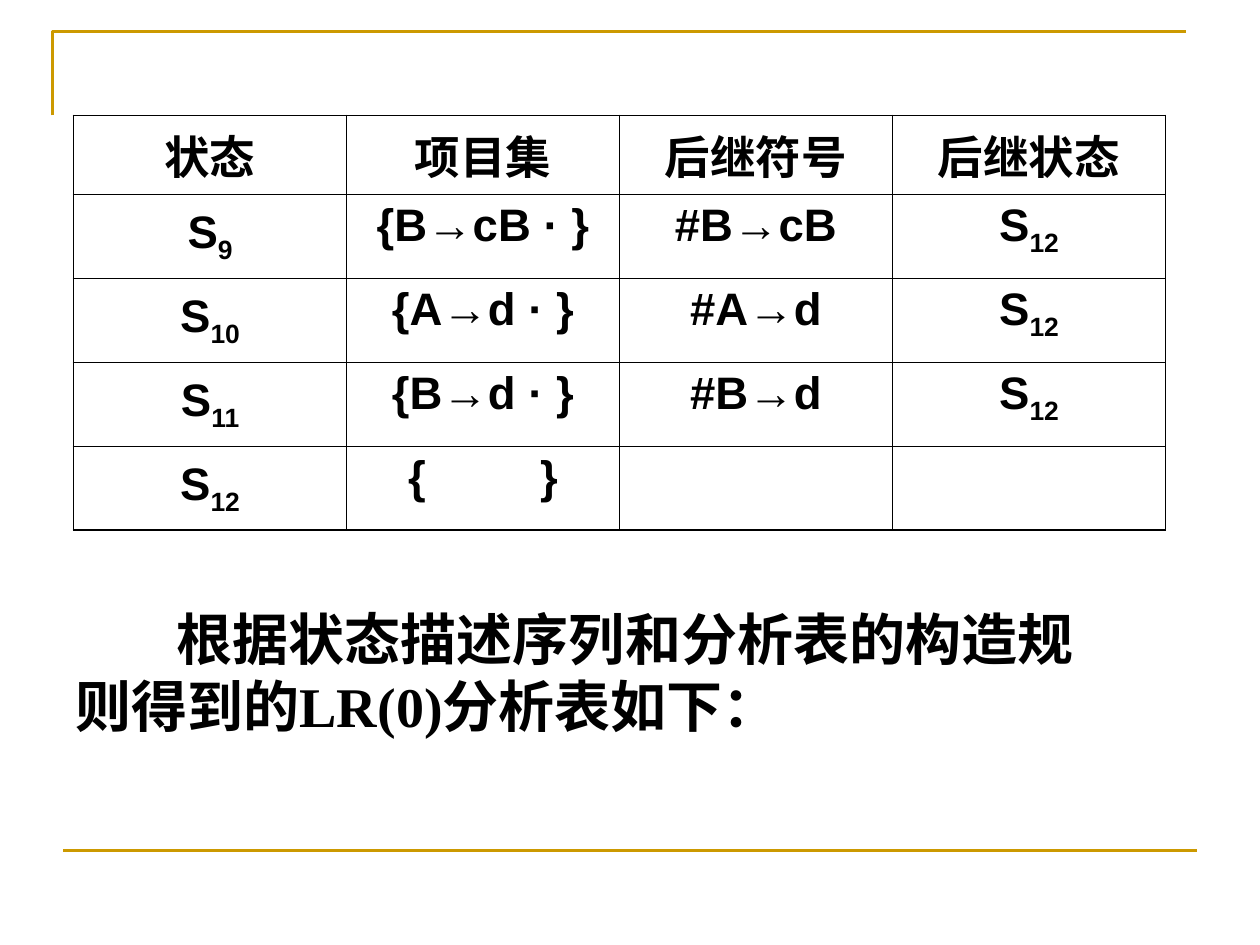
from lxml import etree
from pptx import Presentation
from pptx.dml.color import RGBColor
from pptx.enum.shapes import MSO_CONNECTOR
from pptx.enum.text import MSO_ANCHOR, PP_ALIGN
from pptx.oxml.ns import qn
from pptx.util import Pt

GOLD = RGBColor(0xCC, 0x99, 0x00)
BLACK = RGBColor(0, 0, 0)
LINE = MSO_CONNECTOR.STRAIGHT
CENTER, LEFT = PP_ALIGN.CENTER, PP_ALIGN.LEFT
TOP, MIDDLE = MSO_ANCHOR.TOP, MSO_ANCHOR.MIDDLE

GAP = 58
HEAD = ["状态", "项目集", "后继符号", "后继状态"]
STATES = [
    ["S_9", "{B→cB · }", "#B→cB", "S_12"],
    ["S_10", "{A→d · }", "#A→d", "S_12"],
    ["S_11", "{B→d · }", "#B→d", "S_12"],
    ["S_12", "{ }", "", ""],
]
NOTE = "根据状态描述序列和分析表的构造规则得到的LR(0)分析表如下："


def write(para, text, size=26, font="Arial", align=CENTER, **attrs):
    """Add one bold run; attrs are raw run properties."""
    para.alignment = align
    run = para.add_run()
    run.text = text
    run.font.size = Pt(size)
    run.font.name = font
    run.font.bold = True
    run.font.color.rgb = BLACK
    for name, value in attrs.items():
        run.font._element.set(name, str(value))


def fill_cell(cell, text):
    """Write text; what follows an underscore is a subscript."""
    para = cell.text_frame.paragraphs[0]
    if text == "{ }":
        for part, space in (("{", 0), (" ", GAP * 100), ("}", 0)):
            write(para, part, spc=space)
        return
    base, _, sub = text.partition("_")
    if base:
        write(para, base)
    if sub:
        write(para, sub, baseline=-25000)


def add_edges(cell, widths):
    props = cell._tc.get_or_add_tcPr()
    for spot, (side, width) in enumerate(widths.items()):
        edge = etree.Element(qn(f"a:ln{side}"), w=str(Pt(width)))
        fill = etree.SubElement(edge, qn("a:solidFill"))
        etree.SubElement(fill, qn("a:srgbClr"), val=str(BLACK))
        props.insert(spot, edge)


def add_frame(slide, left, top, width, height):
    """Gold corner at the top left and a gold rule at the bottom."""
    pen = slide.shapes.build_freeform(Pt(left), Pt(top + 48))
    pen.add_line_segments(
        [(Pt(left), Pt(top)), (Pt(left + width), Pt(top))], close=False)
    corner = pen.convert_to_shape()
    corner.shadow.inherit = False
    corner.fill.background()
    base = top + height
    rule = slide.shapes.add_connector(
        LINE, Pt(left + 6), Pt(base), Pt(left + 6 + width), Pt(base))
    etree.SubElement(rule._element.spPr, qn("a:effectLst"))
    for shape in (corner, rule):
        shape.line.color.rgb = GOLD
        shape.line.width = Pt(1.5)


def add_states(slide, left, top, width, height):
    rows = [HEAD] + STATES
    last, end = len(rows) - 1, len(HEAD) - 1
    table = slide.shapes.add_table(
        len(rows), len(HEAD), Pt(left), Pt(top), Pt(width), Pt(height)).table
    table.first_row = table.horz_banding = False
    for col in table.columns:
        col.width = Pt(width / len(HEAD))
    for r, row in enumerate(rows):
        table.rows[r].height = Pt(48 if r else height - 48 * last)
        for c, text in enumerate(row):
            cell = table.cell(r, c)
            cell.fill.background()
            cell.vertical_anchor = MIDDLE if r and c == 0 else TOP
            fill_cell(cell, text)
            outer = {"L": c == 0, "R": c == end, "T": r == 0, "B": r == last}
            add_edges(cell, {side: 1.08 if out else 0.45
                             for side, out in outer.items()})


def add_note(slide, left, top, width, height):
    box = slide.shapes.add_textbox(Pt(left), Pt(top), Pt(width), Pt(height))
    box.text_frame.word_wrap = True
    para = box.text_frame.paragraphs[0]
    para._p.get_or_add_pPr().set("indent", str(Pt(GAP)))
    write(para, NOTE, size=32, font="Times New Roman", align=LEFT)


def main():
    deck = Presentation()
    deck.slide_width, deck.slide_height = Pt(720), Pt(540)
    slide = deck.slides.add_slide(deck.slide_layouts[6])
    add_frame(slide, 30, 18, 648, 468)
    add_states(slide, 42, 66, 624, 234)
    add_note(slide, 36, 342, 612, 84)
    deck.save("out.pptx")


if __name__ == "__main__":
    main()
